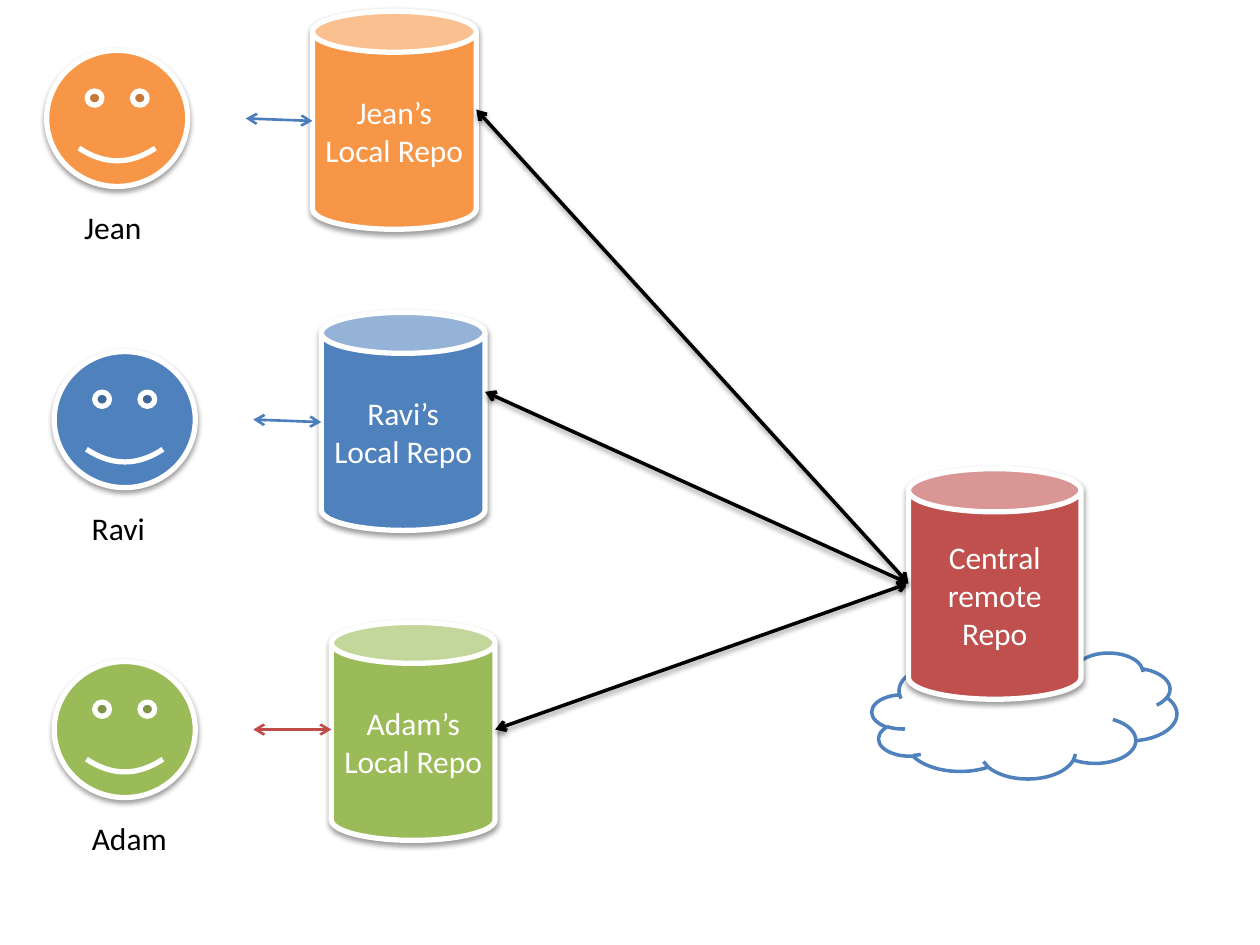
from dataclasses import dataclass

from lxml import etree
from pptx import Presentation
from pptx.dml.color import RGBColor
from pptx.enum.shapes import MSO_CONNECTOR, MSO_SHAPE
from pptx.enum.text import MSO_ANCHOR, PP_ALIGN
from pptx.oxml.ns import qn
from pptx.util import Inches, Pt

CAN, CLOUD, FACE = MSO_SHAPE.CAN, MSO_SHAPE.CLOUD, MSO_SHAPE.SMILEY_FACE
STRAIGHT = MSO_CONNECTOR.STRAIGHT
MIDDLE, CENTER = MSO_ANCHOR.MIDDLE, PP_ALIGN.CENTER
HUB = (7.21, 4.63)  # where the links meet the central repo


@dataclass
class Theme:
    white: str = "FFFFFF"
    black: str = "000000"
    blue: str = "4F81BD"
    green: str = "9BBB59"
    orange: str = "F79646"
    red: str = "C0504D"
    cool: str = "4B7EBC"
    warm: str = "BF4C48"
    font: str = "Calibri"
    size: int = 18


class Board:
    """Holds the theme and the current slide."""

    def __init__(self, slide, theme):
        self.slide = slide
        self.theme = theme

    def shade(self, item):
        """Give a shape or connector a soft shadow below it."""
        props = item._element.spPr
        effects = props.find(qn("a:effectLst"))
        if effects is None:
            effects = etree.SubElement(props, qn("a:effectLst"))
        drop = etree.SubElement(
            effects, qn("a:outerShdw"), blurRad=str(Pt(3.1)), dist=str(Pt(1.6)),
            dir="5400000", rotWithShape="0")
        color = etree.SubElement(drop, qn("a:srgbClr"), val=self.theme.black)
        etree.SubElement(color, qn("a:alpha"), val="38000")

    def words(self, frame, text, color):
        para = frame.paragraphs[0]
        run = para.add_run()
        run.text = text
        run.font.name = self.theme.font
        run.font.size = Pt(self.theme.size)
        run.font.color.rgb = RGBColor.from_string(color)
        return para

    def shape(self, kind, box, fill, line, width):
        item = self.slide.shapes.add_shape(kind, *map(Inches, box))
        item.shadow.inherit = False
        item.fill.solid()
        item.fill.fore_color.rgb = RGBColor.from_string(fill)
        item.line.color.rgb = RGBColor.from_string(line)
        item.line.width = Pt(width)
        return item

    def face(self, x, y, color):
        self.shade(self.shape(FACE, (x, y, 1.12, 1.08), color, self.theme.white, 3))

    def repo(self, box, text, color):
        item = self.shape(CAN, box, color, self.theme.white, 3)
        self.shade(item)
        frame = item.text_frame
        frame.word_wrap = True
        frame.vertical_anchor = MIDDLE
        frame.margin_left = frame.margin_right = Inches(0.09)
        self.words(frame, text, self.theme.white).alignment = CENTER

    def label(self, x, y, width, text):
        item = self.slide.shapes.add_textbox(*map(Inches, (x, y, width, 0.4)))
        item.text_frame.word_wrap = True
        self.words(item.text_frame, text, self.theme.black)

    def arrow(self, start, end, color, width, shadow=False):
        """Draw a line with an open arrowhead at both ends."""
        item = self.slide.shapes.add_connector(STRAIGHT, *map(Inches, start + end))
        item.line.color.rgb = RGBColor.from_string(color)
        item.line.width = Pt(width)
        for tag in ("a:headEnd", "a:tailEnd"):
            etree.SubElement(item.line._ln, qn(tag), type="arrow")
        if shadow:
            self.shade(item)
        else:
            etree.SubElement(item._element.spPr, qn("a:effectLst"))

    def user(self, name, x, y, left, color, tone, drop, port, width=0.73):
        """Draw one person, their local repo and its link to the hub."""
        self.face(x, y, color)
        self.label(x + 0.2, y + 1.2, width, name)
        self.repo((left, y - 0.31, 1.3, 1.73), f"{name}’s Local Repo", color)
        mid = y + 0.54
        self.arrow((x + 1.58, mid), (left, mid + drop), tone, 1.5)
        self.arrow((left + 1.3, port), HUB, self.theme.black, 2, shadow=True)


def main():
    deck = Presentation()
    deck.slide_width, deck.slide_height = Inches(10), Inches(7.5)
    theme = Theme()
    board = Board(deck.slides.add_slide(deck.slide_layouts[6]), theme)

    # Cloud behind the central repo
    board.shape(CLOUD, (6.92, 5.18, 2.42, 1), theme.white, theme.blue, 2)

    # Users and repos; the central repo covers only Adam's link
    board.user("Adam", 0.43, 5.25, 2.63, theme.green, theme.warm, 0, 5.79, 0.92)
    board.repo((HUB[0], 3.72, 1.37, 1.83), "Central remote Repo", theme.red)
    board.user("Ravi", 0.43, 2.79, 2.55, theme.blue, theme.cool, 0.02, 3.11)
    board.user("Jean", 0.37, 0.4, 2.48, theme.orange, theme.cool, 0.02, 0.87)

    deck.save("out.pptx")


if __name__ == "__main__":
    main()
